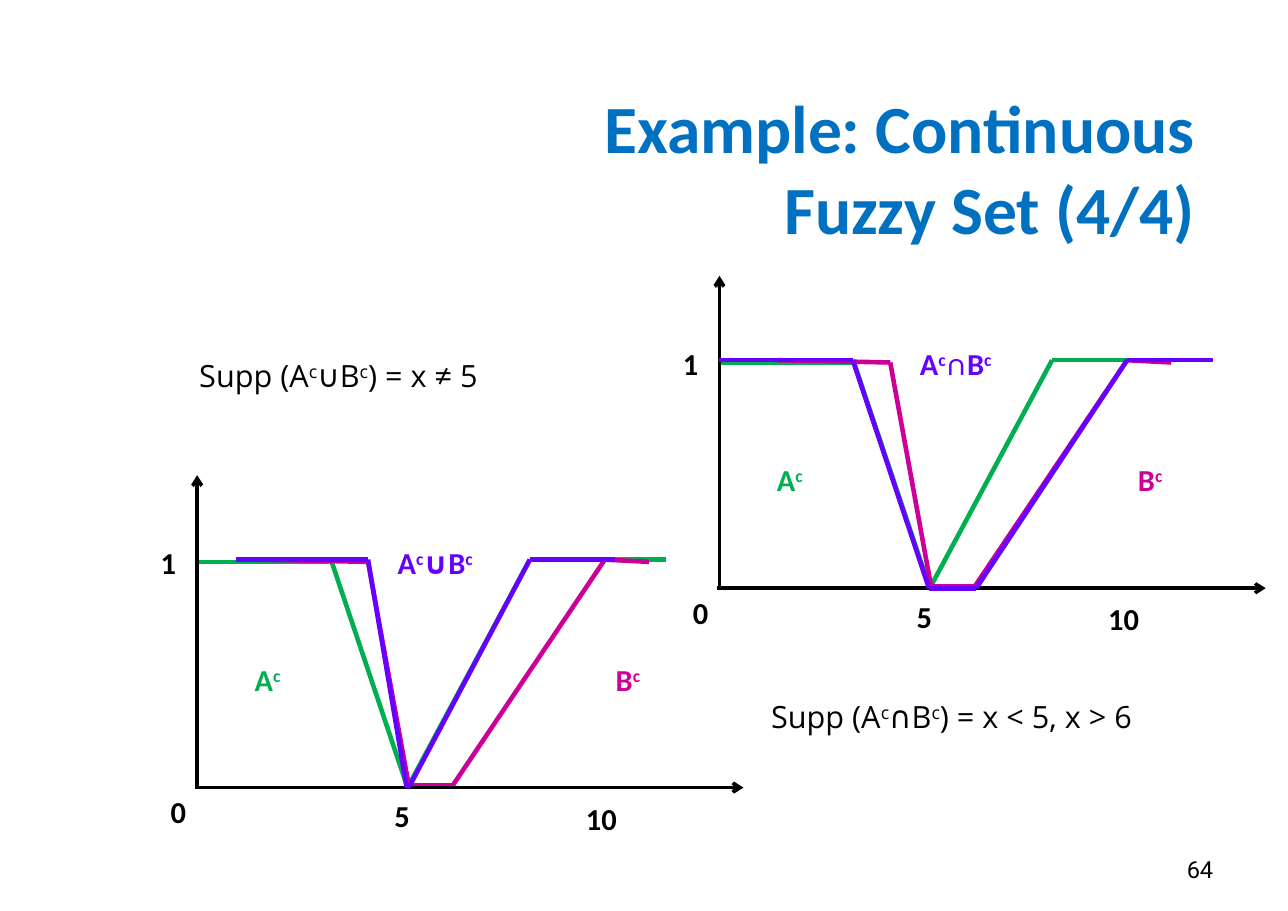
"""Build the slide on continuous fuzzy set complements, their union and intersection."""
from itertools import pairwise

from lxml import etree
from pptx import Presentation
from pptx import util as u
from pptx.dml.color import RGBColor
from pptx.enum import shapes, text
from pptx.oxml.ns import qn

BLACK = RGBColor(0x00, 0x00, 0x00)
BLUE = RGBColor(0x00, 0x70, 0xC0)
GREEN = RGBColor(0x00, 0xB0, 0x50)
PINK = RGBColor(0xCC, 0x00, 0x99)
PURPLE = RGBColor(0x66, 0x00, 0xFF)

WIDTH, HEIGHT = 11.69, 8.27
X_UNIT, Y_UNIT = 0.37, 2.07
LABEL_HEIGHT = 0.44

TITLE = ["Example: Continuous ", "Fuzzy Set (4/4) "]
PAGE_NUMBER = "64"
SUPPORTS = [
    ("Supp (A^c∪B^c) = x ≠ 5", (1.71, 3.19, 2.79, 0.77)),
    ("Supp (A^c∩B^c) = x < 5, x > 6", (6.9, 6.29, 3.55, 0.77)),
]

COMPLEMENTS = [
    (GREEN, [(0, 0.99), (3.3, 0.99), (5.16, 0), (8.16, 1), (11.51, 1)]),
    (PINK, [(1.41, 1), (4.19, 0.99), (5.19, 0.01), (6.27, 0.01), (10, 1), (11.08, 0.99)]),
]
AXES = [[(0, 0), (0, 1.37)], [(-0.05, 0), (13.4, 0)]]
LABELS = [
    ("A^c", GREEN, (1.14, 0.58), 0.45),
    ("B^c", PINK, (10, 0.58), 0.44),
    ("0", BLACK, (-0.92, 0), 0.34),
    ("1", BLACK, (-1.16, 1.09), 0.34),
    ("5", BLACK, (4.57, -0.02), 0.34),
    ("10", BLACK, (9.27, -0.03), 0.48),
]
RESULT_LABEL = ((4.65, 1.09), 0.89)
GRAPHS = [
    ((6.53, 5.34), "A^c∩B^c",
     [(0, 1), (3.27, 1), (5.14, 0), (6.3, 0), (10, 1), (12.11, 1)]),
    ((1.79, 7.15), "A^c∪B^c",
     [(0.95, 1), (4.19, 1), (5.14, 0), (5.22, 0.01), (8.16, 1), (10.24, 1)]),
]


def add_text(slide, lines, box, size=19.9, font="Calibri", color=BLACK, bold=False,
             align=text.PP_ALIGN.LEFT, anchor=text.MSO_ANCHOR.TOP, wrap=False):
    """Add a text box; a caret raises the one character after it."""
    frame = slide.shapes.add_textbox(*map(u.Inches, box)).text_frame
    frame.word_wrap = wrap
    frame.auto_size = text.MSO_AUTO_SIZE.NONE if wrap else text.MSO_AUTO_SIZE.SHAPE_TO_FIT_TEXT
    frame.vertical_anchor = anchor
    for index, line in enumerate(lines):
        paragraph = frame.add_paragraph() if index else frame.paragraphs[0]
        paragraph.alignment = align
        first, *raised = line.split("^")
        pieces = [(first, False)]
        for part in raised:
            pieces += [(part[0], True), (part[1:], False)]
        for words, superscript in pieces:
            if not words:
                continue
            run = paragraph.add_run()
            run.text = words
            run.font.size, run.font.name, run.font.bold = u.Pt(size), font, bold
            run.font.color.rgb = color
            if superscript:
                run.font._element.set("baseline", "30000")


def locate(origin, point):
    """Turn graph units into slide inches."""
    return origin[0] + point[0] * X_UNIT, origin[1] - point[1] * Y_UNIT


def add_curve(slide, origin, points, color, weight=3, arrow=False):
    """Join consecutive graph points with straight lines."""
    for start, end in pairwise(points):
        ends = [u.Inches(value) for point in (start, end) for value in locate(origin, point)]
        connector = slide.shapes.add_connector(shapes.MSO_CONNECTOR.STRAIGHT, *ends)
        connector.line.color.rgb = color
        connector.line.width = u.Pt(weight)
        if arrow:
            etree.SubElement(connector.line._get_or_add_ln(), qn("a:tailEnd"), type="arrow")
        etree.SubElement(connector._element.spPr, qn("a:effectLst"))


def add_graph(slide, origin, result, points):
    """Draw both complements, the axes, the resulting set and all labels."""
    for color, complement in COMPLEMENTS:
        add_curve(slide, origin, complement, color)
    for axis in AXES:
        add_curve(slide, origin, axis, BLACK, weight=2.25, arrow=True)
    add_curve(slide, origin, points, PURPLE)
    for label, color, point, width in [*LABELS, (result, PURPLE, *RESULT_LABEL)]:
        add_text(slide, [label], (*locate(origin, point), width, LABEL_HEIGHT),
                 color=color, bold=True)


def main():
    """Assemble and save the slide."""
    presentation = Presentation()
    presentation.slide_width, presentation.slide_height = u.Inches(WIDTH), u.Inches(HEIGHT)
    slide = presentation.slides.add_slide(presentation.slide_layouts[6])
    right = {"align": text.PP_ALIGN.RIGHT, "anchor": text.MSO_ANCHOR.MIDDLE, "wrap": True}
    add_text(slide, [PAGE_NUMBER], (8.38, 7.67, 2.73, 0.44), size=15.4, font="Roboto", **right)
    add_text(slide, TITLE, (1.16, 0.83, 9.93, 1.38), size=44.1, color=BLUE, bold=True, **right)
    for graph in GRAPHS:
        add_graph(slide, *graph)
    for support, box in SUPPORTS:
        add_text(slide, [support], box, size=20, font="Open Sans")
    presentation.save("out.pptx")


if __name__ == "__main__":
    main()
